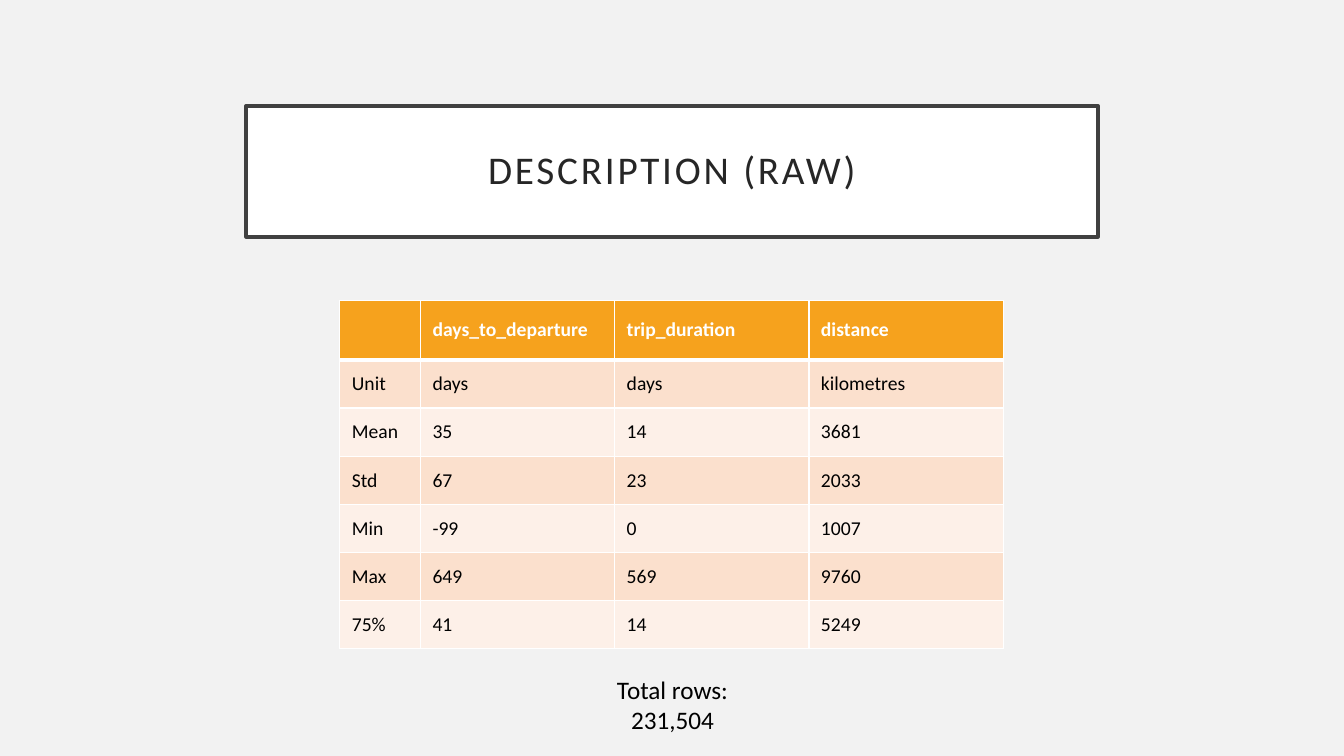
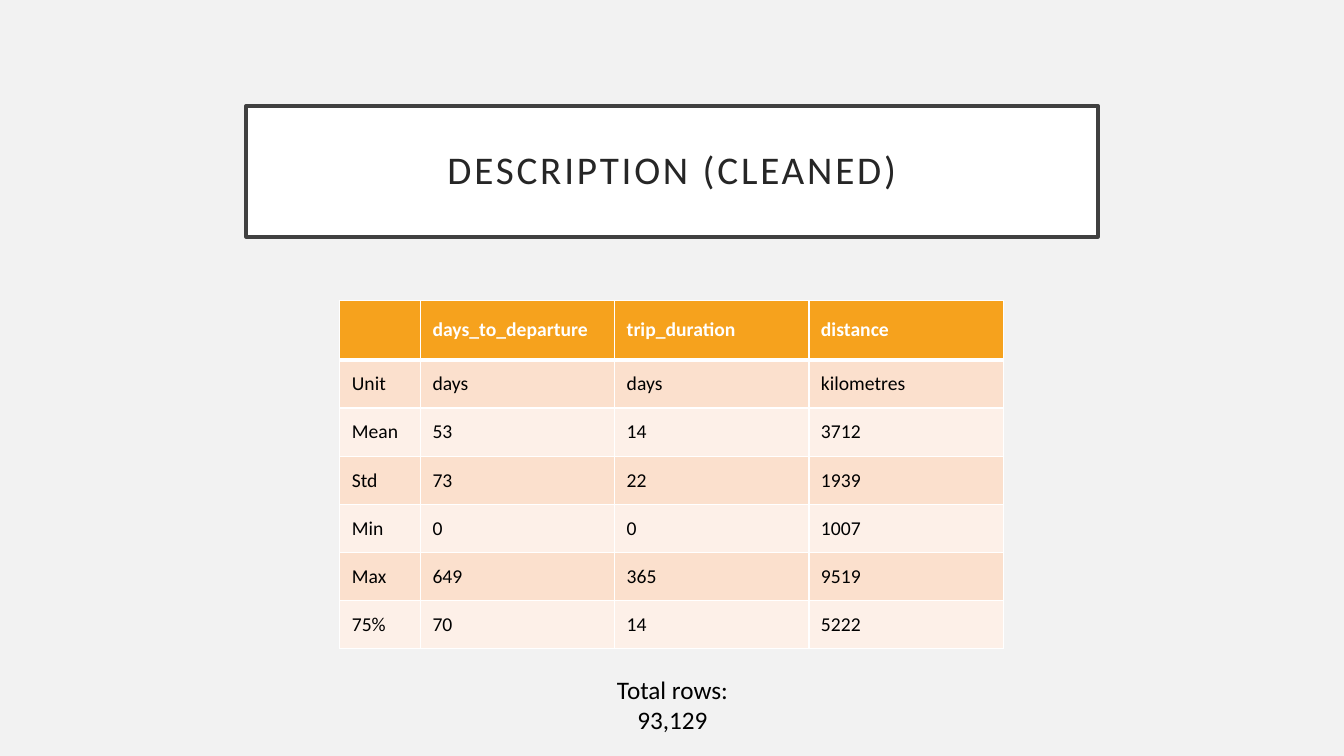
from lxml.etree import SubElement as Sub
from pptx import Presentation as Deck
from pptx.dml.color import RGBColor as Rgb
from pptx.enum.text import MSO_ANCHOR as Anchor, MSO_AUTO_SIZE as Fit, PP_ALIGN as Align
from pptx.oxml.ns import qn
from pptx.util import Inches, Pt

HUES = {
    "page": "F2F2F2", "white": "FFFFFF", "frame": "404040", "title": "262626",
    "head": "F6A21D", "odd": "FBE0CD", "even": "FDF0E8", "black": "000000",
}
FONTS = {
    "title": {"size": Pt(28), "name": "Calibri", "bold": False},
    "head": {"size": Pt(14), "name": "Calibri", "bold": True},
    "cell": {"size": Pt(14), "name": "Calibri", "bold": False},
    "note": {"size": Pt(18), "name": "Calibri"},
}
SIDES = ("left", "top", "right", "bottom")

# Boxes: left, top, width, height
TITLE = (2.44, 1.05, 8.45, 1.3)
GRID = (3.37, 2.98, 6.58, 3.46)
NOTE = (6.02, 6.64, 1.3, 0.71)

HEAD = ("", "days_to_departure", "trip_duration", "distance")
UNITS = ("Unit", "days", "days", "kilometres")
STATS = ("Mean", "Std", "Min", "Max", "75%")
PAGES = [
    ("DESCRIPTION (RAW)", "231,504",
     [(35, 14, 3681), (67, 23, 2033), (-99, 0, 1007), (649, 569, 9760), (41, 14, 5249)]),
    ("DESCRIPTION (CLEANED)", "93,129",
     [(53, 14, 3712), (73, 22, 1939), (0, 0, 1007), (649, 365, 9519), (70, 14, 5222)]),
]


def hue(key):
    return Rgb.from_string(HUES[key])


def apply(item, values):
    for key, value in values.items():
        setattr(item, key, value)


def paint(fill, key):
    fill.solid()
    fill.fore_color.rgb = hue(key)


def style(font, kind, key):
    apply(font, FONTS[kind])
    font.color.rgb = hue(key)


def pad(*sizes):
    return {f"margin_{side}": Inches(size) for side, size in zip(SIDES, sizes)}


# Framed title
def add_title(slide, text, box):
    title = slide.shapes.title
    apply(title, dict(zip(("left", "top", "width", "height"), map(Inches, box))))
    paint(title.fill, "white")
    title.line.color.rgb = hue("frame")
    title.line.width = Pt(2.5)
    frame = title.text_frame
    apply(frame, {"text": text, "word_wrap": True, "auto_size": Fit.NONE,
                  "vertical_anchor": Anchor.MIDDLE, **pad(0.2, 0.2, 0.2, 0.2)})
    para = frame.paragraphs[0]
    apply(para, {"alignment": Align.CENTER, "line_spacing": 0.9})
    font = para.runs[0].font
    style(font, "title", "title")
    para.runs[0]._r.get_or_add_rPr().set("spc", "200")


# White cell borders, given as points per side
def add_edges(cell, **widths):
    props = cell._tc.get_or_add_tcPr()
    for side in "LRTB":
        line = Sub(props, qn(f"a:ln{side}"), w=str(Pt(widths.get(side, 1))))
        Sub(Sub(line, qn("a:solidFill")), qn("a:srgbClr"), val=HUES["white"])


def fill_cell(cell, text, row):
    edges = {0: {"B": 3}, 1: {"T": 3}}.get(row, {})
    add_edges(cell, **edges)
    paint(cell.fill, "head" if row == 0 else "odd" if row % 2 else "even")
    apply(cell, {"text": str(text), "vertical_anchor": Anchor.MIDDLE,
                 **pad(0.12, 0.06, 0.12, 0.06)})
    kind, key = ("cell", "black") if row else ("head", "white")
    style(cell.text_frame.paragraphs[0].font, kind, key)
    for run in cell.text_frame.paragraphs[0].runs:
        style(run.font, kind, key)


# Table of statistics
def add_grid(slide, rows, box):
    left, top, width, height = box
    grid = slide.shapes.add_table(len(rows), len(HEAD), *map(Inches, box)).table
    first, head = 0.8, 0.59
    for num, col in enumerate(grid.columns):
        col.width = Inches((width - first) / (len(HEAD) - 1) if num else first)
    for num, row in enumerate(rows):
        grid.rows[num].height = Inches((height - head) / (len(rows) - 1) if num else head)
        for cell, text in zip(grid.rows[num].cells, row):
            fill_cell(cell, text, num)


# Row count below the table
def add_note(slide, text, box):
    frame = slide.shapes.add_textbox(*map(Inches, box)).text_frame
    apply(frame, {"text": text, "word_wrap": True, "auto_size": Fit.SHAPE_TO_FIT_TEXT})
    para = frame.paragraphs[0]
    para.alignment = Align.CENTER
    style(para.runs[0].font, "note", "black")


def add_page(deck, title, total, stats):
    slide = deck.slides.add_slide(deck.slide_layouts[5])
    add_title(slide, title, TITLE)
    rows = [HEAD, UNITS] + [(name, *nums) for name, nums in zip(STATS, stats)]
    add_grid(slide, rows, GRID)
    add_note(slide, f"Total rows: {total}", NOTE)


def main():
    deck = Deck()
    apply(deck, {"slide_width": Inches(13.33), "slide_height": Inches(7.5)})
    paint(deck.slide_master.background.fill, "page")
    for page in PAGES:
        add_page(deck, *page)
    deck.save("out.pptx")


if __name__ == "__main__":
    main()
